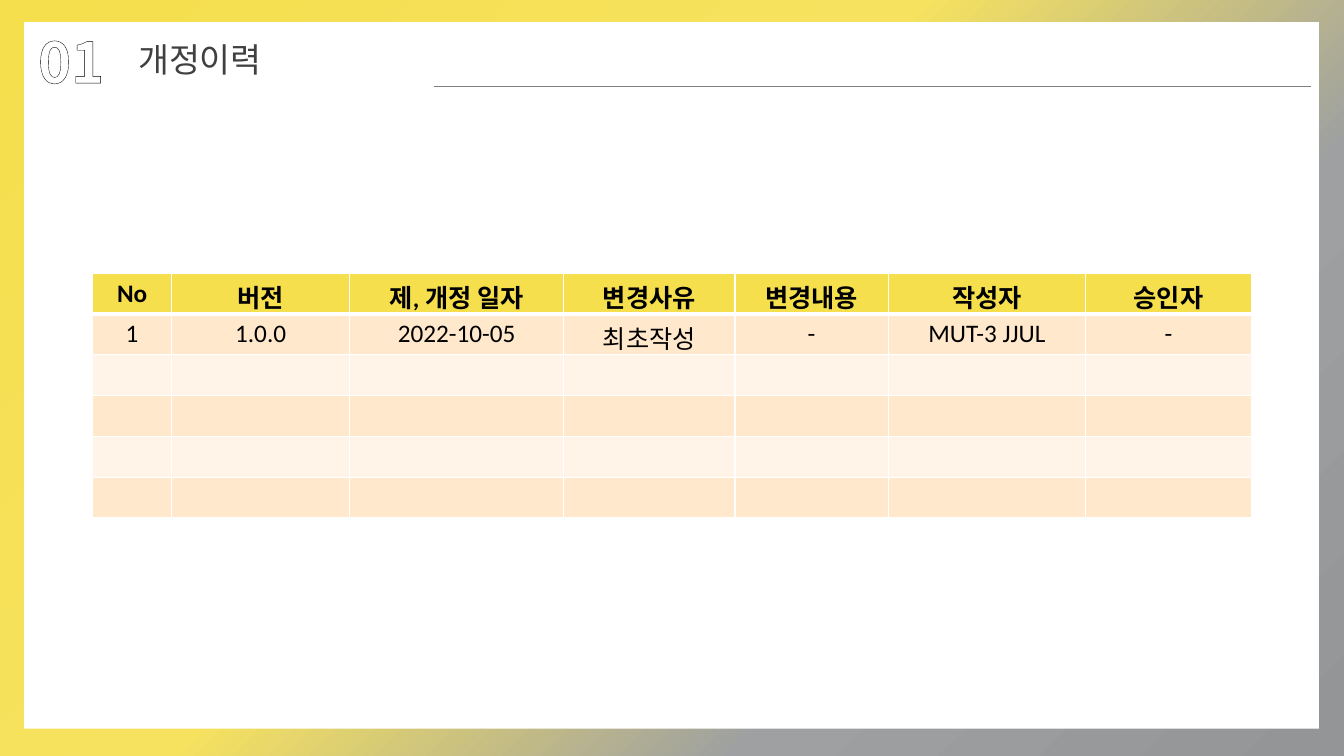
from typing import NamedTuple

from lxml import etree
from pptx import Presentation
from pptx.dml.color import RGBColor
from pptx.enum.dml import MSO_PATTERN
from pptx.enum.shapes import MSO_CONNECTOR, MSO_SHAPE
from pptx.enum.text import MSO_ANCHOR, MSO_AUTO_SIZE, PP_ALIGN
from pptx.oxml import parse_xml
from pptx.oxml.ns import qn
from pptx.util import Inches, Pt

TITLE_ONLY = 5
RECTANGLE = MSO_SHAPE.RECTANGLE
STRAIGHT = MSO_CONNECTOR.STRAIGHT
HATCH = MSO_PATTERN.DARK_UPWARD_DIAGONAL
TOP, MIDDLE = MSO_ANCHOR.TOP, MSO_ANCHOR.MIDDLE
LEFT, CENTER = PP_ALIGN.LEFT, PP_ALIGN.CENTER
FIT_SHAPE = MSO_AUTO_SIZE.SHAPE_TO_FIT_TEXT

WHITE = RGBColor(0xFF, 0xFF, 0xFF)
BLACK = RGBColor(0x00, 0x00, 0x00)
CHARCOAL = RGBColor(0x3B, 0x38, 0x38)
TITLE_GREY = RGBColor(0x40, 0x40, 0x40)
RULE_GREY = RGBColor(0x80, 0x80, 0x80)
YELLOW = RGBColor(0xF5, 0xDF, 0x4D)
PALE_YELLOW = RGBColor(0xF6, 0xE2, 0x5F)
LIGHT_GREY = RGBColor(0x9E, 0xA0, 0xA1)
GREY = RGBColor(0x93, 0x95, 0x97)
PEACH = RGBColor(0xFF, 0xE8, 0xCC)
PALE_PEACH = RGBColor(0xFF, 0xF4, 0xE7)

HEADING_FONT = "Noto Sans CJK KR"
TABLE_FONT = "Calibri"
DRAWING_NS = 'xmlns:a="http://schemas.openxmlformats.org/drawingml/2006/main"'
ROW_COUNT = 6
ROW_HEIGHT = 0.405


class GradientStop(NamedTuple):
    percent: int
    color: RGBColor


class Column(NamedTuple):
    width: float
    heading: str
    entry: str


BACKGROUND = [
    GradientStop(0, YELLOW),
    GradientStop(44, PALE_YELLOW),
    GradientStop(71, LIGHT_GREY),
    GradientStop(100, GREY),
]
COLUMNS = [
    Column(0.78, "No", "1"),
    Column(1.77, "버전", "1.0.0"),
    Column(2.12, "제, 개정 일자", "2022-10-05"),
    Column(1.7, "변경사유", "최초작성"),
    Column(1.52, "변경내용", "-"),
    Column(1.96, "작성자", "MUT-3 JJUL"),
    Column(1.64, "승인자", "-"),
]


def line_xml(tag: str, color: RGBColor, points: float):
    return parse_xml(
        f'<a:{tag} {DRAWING_NS} w="{Pt(points)}"><a:solidFill>'
        f'<a:srgbClr val="{color}"/></a:solidFill></a:{tag}>'
    )


def paint_background(page) -> None:
    fill = page.background.fill
    fill.gradient()
    fill.gradient_angle = 315  # counter-clockwise, towards the lower right
    stop_list = next(page.element.iter(qn("a:gsLst")))
    for old_stop in list(stop_list):
        stop_list.remove(old_stop)
    for stop in BACKGROUND:
        stop_list.append(parse_xml(
            f'<a:gs {DRAWING_NS} pos="{stop.percent * 1000}">'
            f'<a:srgbClr val="{stop.color}"/></a:gs>'
        ))


def add_panel(page) -> None:
    panel = page.shapes.add_shape(
        RECTANGLE, Inches(0.24), Inches(0.22), Inches(12.84), Inches(7.01))
    panel.shadow.inherit = False
    panel.fill.solid()
    panel.fill.fore_color.rgb = WHITE
    panel.line.fill.background()


def set_heading_font(font, size: int) -> None:
    """Set the heading typeface for both Latin and Korean letters."""
    font.size = Pt(size)
    font.name = HEADING_FONT
    latin = font._element.find(qn("a:latin"))
    latin.addnext(parse_xml(f'<a:ea {DRAWING_NS} typeface="{HEADING_FONT}"/>'))


def add_section_number(page) -> None:
    box = page.shapes.add_textbox(Inches(0.28), Inches(0.22), Inches(1.27), Inches(0.77))
    box.text_frame.word_wrap = True
    box.text_frame.auto_size = FIT_SHAPE
    span = box.text_frame.paragraphs[0].add_run()
    span.text = "01"
    font = span.font
    font.bold = True
    font.fill.patterned()
    font.fill.pattern = HATCH
    font.fill.fore_color.rgb = CHARCOAL
    font.fill.back_color.rgb = WHITE
    set_heading_font(font, 40)
    font._element.insert(0, line_xml("ln", BLACK, 1.25))


def add_title(page) -> None:
    title = page.shapes.title
    title.left, title.top = Inches(1.27), Inches(0.34)
    title.width, title.height = Inches(1.55), Inches(0.5)
    frame = title.text_frame
    frame.text = "개정이력"
    frame.word_wrap = False
    frame.auto_size = FIT_SHAPE
    frame.vertical_anchor = TOP
    para = frame.paragraphs[0]
    para.alignment = LEFT
    font = para.runs[0].font
    font.color.rgb = TITLE_GREY
    set_heading_font(font, 24)
    title.element.getparent().append(title.element)  # in front of the panel


def add_rule(page) -> None:
    rule = page.shapes.add_connector(
        STRAIGHT, Inches(4.3), Inches(0.86), Inches(13), Inches(0.86))
    rule.line.color.rgb = RULE_GREY
    rule.line.width = Pt(1)
    etree.SubElement(rule.element.spPr, qn("a:effectLst"))


def format_cell(cell, text: str, color: RGBColor, row: int) -> None:
    cell.fill.solid()
    cell.fill.fore_color.rgb = color
    cell.vertical_anchor = MIDDLE
    cell.text = text
    para = cell.text_frame.paragraphs[0]
    para.alignment = CENTER
    para.font.size = Pt(18)
    para.font.name = TABLE_FONT
    para.font.bold = row == 0
    para.font.color.rgb = BLACK
    widths = {"lnL": 1, "lnR": 1, "lnT": 3 if row == 1 else 1, "lnB": 3 if row == 0 else 1}
    properties = cell._tc.get_or_add_tcPr()
    for position, (side, points) in enumerate(widths.items()):
        properties.insert(position, line_xml(side, WHITE, points))


def add_history_table(page) -> None:
    table = page.shapes.add_table(
        ROW_COUNT, len(COLUMNS), Inches(0.92), Inches(2.71),
        Inches(sum(column.width for column in COLUMNS)),
        Inches(ROW_COUNT * ROW_HEIGHT)).table
    for row in table.rows:
        row.height = Inches(ROW_HEIGHT)
    for index, column in enumerate(COLUMNS):
        table.columns[index].width = Inches(column.width)
        texts = [column.heading, column.entry] + [""] * (ROW_COUNT - 2)
        for row, text in enumerate(texts):
            band = PEACH if row % 2 else PALE_PEACH
            format_cell(table.cell(row, index), text, band if row else YELLOW, row)


def main() -> None:
    deck = Presentation()
    deck.slide_width, deck.slide_height = Inches(13.33), Inches(7.5)
    page = deck.slides.add_slide(deck.slide_layouts[TITLE_ONLY])
    paint_background(page)
    add_panel(page)
    add_section_number(page)
    add_rule(page)
    add_title(page)
    add_history_table(page)
    deck.save("out.pptx")


if __name__ == "__main__":
    main()
